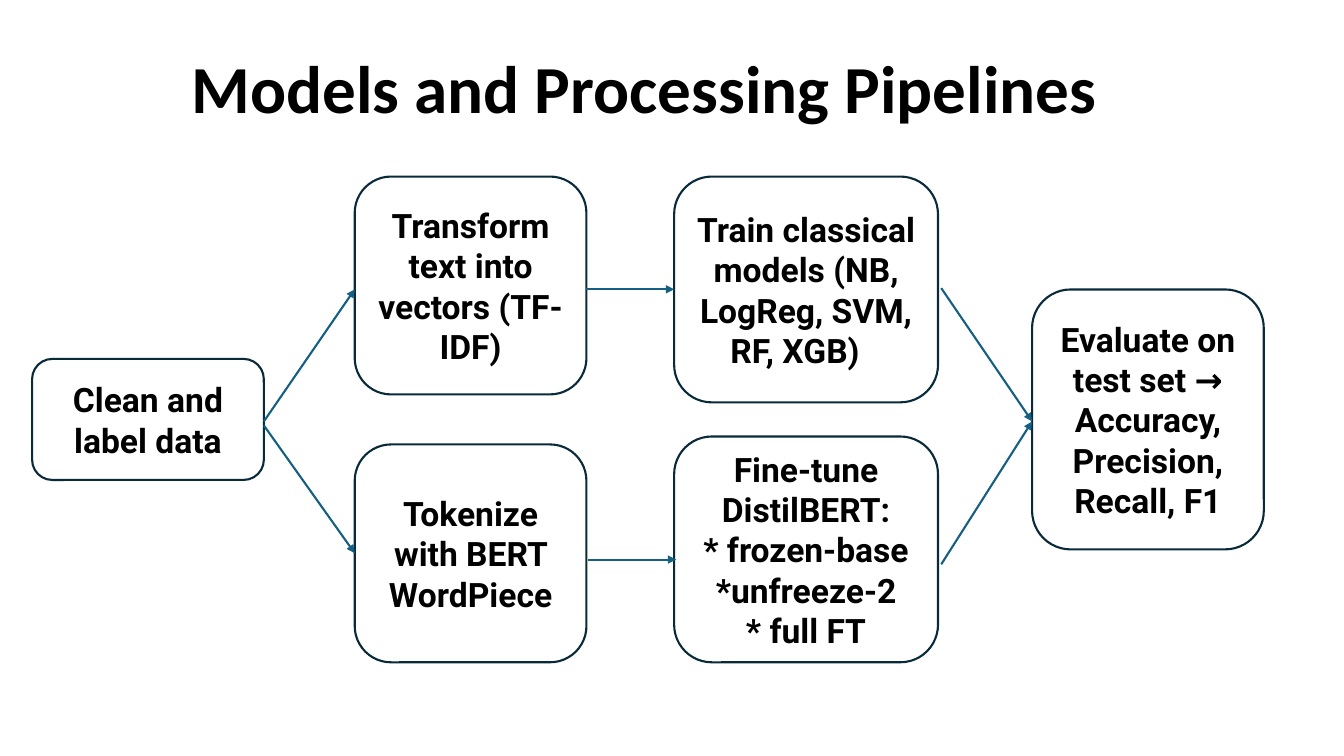
from dataclasses import dataclass

from lxml.etree import SubElement as Sub
from pptx import Presentation
from pptx.dml.color import RGBColor as Rgb
from pptx.enum.shapes import MSO_CONNECTOR as Link, MSO_SHAPE as Kind
from pptx.enum.text import MSO_ANCHOR as Anchor, MSO_AUTO_SIZE as Fit, PP_ALIGN as Align
from pptx.oxml.ns import qn
from pptx.util import Cm, Pt

TITLE = "Models and Processing Pipelines"
COLS = {
    "clean": (0.81, 5.84),
    "vector": (8.94, 5.84),
    "train": (16.99, 6.65),
    "test": (26.01, 5.84),
}
TOP, END = 4.45, 16.69
UPPER, MIDDLE, LOWER = 0, 0.5, 1
STEPS = [
    ("clean", MIDDLE, 3.05, "Clean and label data"),
    ("vector", UPPER, 5.49, "Transform text into vectors (TF-IDF)"),
    ("vector", LOWER, 5.49, "Tokenize with BERT WordPiece"),
    ("train", UPPER, 5.69, "Train classical models (NB, LogReg, SVM, RF, XGB)\t"),
    ("train", LOWER, 5.69, "Fine-tune DistilBERT:\n* frozen-base\n*unfreeze-2\n* full FT"),
    ("test", MIDDLE, 6.55, "Evaluate on test set → Accuracy, Precision, Recall, F1"),
]
ARROWS = [
    (6.65, 10.62, 8.94, 7.29),
    (6.65, 10.72, 8.94, 13.94),
    (14.76, 7.29, 16.99, 7.29),
    (14.83, 14.1, 17.04, 14.1),
    (23.72, 7.26, 26.01, 10.62),
    (23.72, 14.22, 26.01, 10.62),
]


@dataclass(frozen=True)
class Theme:
    ink: Rgb = Rgb(0, 0, 0)
    fill: Rgb = Rgb(0xFF, 0xFF, 0xFF)
    edge: Rgb = Rgb(0x09, 0x2A, 0x39)
    arrow: Rgb = Rgb(0x15, 0x60, 0x82)
    alpha: int = 56
    line: float = 1.5
    head: int = 48
    body: int = 24
    serif: str = "Calibri"
    sans: str = "Roboto"


LOOK = Theme()


def write(shape, text, *, font, size, anchor, fit=Fit.NONE):
    frame = shape.text_frame
    frame.word_wrap = True
    frame.auto_size = fit
    frame.vertical_anchor = anchor
    para = frame.paragraphs[0]
    para.text = text
    para.alignment = Align.CENTER
    for run in para.runs:
        run.font.name = font
        run.font.size = Pt(size)
        run.font.bold = True
        run.font.color.rgb = LOOK.ink


def add_title(slide):
    title = slide.shapes.title
    title.left, title.top, title.width, title.height = map(Cm, (0.76, 1.04, 30.96, 2.31))
    write(title, TITLE, font=LOOK.serif, size=LOOK.head, anchor=Anchor.TOP,
          fit=Fit.SHAPE_TO_FIT_TEXT)


def add_step(slide, col, row, high, text):
    left, wide = COLS[col]
    top = TOP + row * (END - TOP - high)
    box = slide.shapes.add_shape(Kind.ROUNDED_RECTANGLE, *map(Cm, (left, top, wide, high)))
    box.shadow.inherit = False
    box.fill.solid()
    box.fill.fore_color.rgb = LOOK.fill
    tint = box.fill._xPr.find(qn("a:solidFill"))[0]
    Sub(tint, qn("a:alpha"), val=str(LOOK.alpha * 1000))
    box.line.color.rgb = LOOK.edge
    box.line.width = Pt(LOOK.line)
    write(box, text, font=LOOK.sans, size=LOOK.body, anchor=Anchor.MIDDLE)


def add_arrow(slide, ends):
    arrow = slide.shapes.add_connector(Link.STRAIGHT, *map(Cm, ends))
    arrow.line.color.rgb = LOOK.arrow
    arrow.line.width = Pt(LOOK.line)
    Sub(arrow.line._get_or_add_ln(), qn("a:tailEnd"), type="triangle")
    Sub(arrow._element.spPr, qn("a:effectLst"))


def main():
    deck = Presentation()
    deck.slide_width, deck.slide_height = Cm(33.87), Cm(19.05)
    slide = deck.slides.add_slide(deck.slide_layouts.get_by_name("Title Only"))
    add_title(slide)
    for step in STEPS:
        add_step(slide, *step)
    for ends in ARROWS:
        add_arrow(slide, ends)
    deck.save("out.pptx")


if __name__ == "__main__":
    main()
